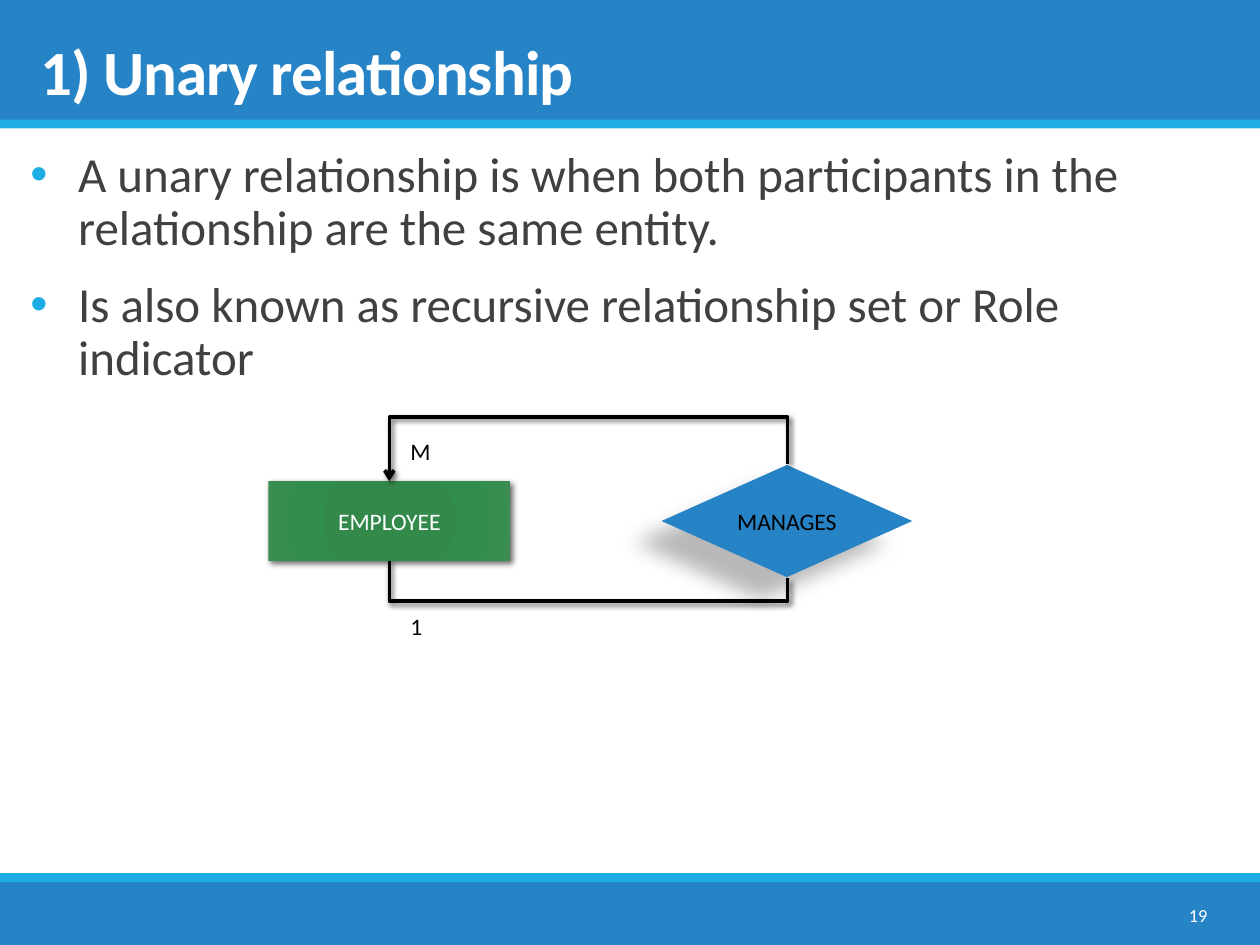
import lxml.etree
import pptx
import pptx.dml.color
import pptx.enum.shapes
import pptx.enum.text
import pptx.oxml
import pptx.oxml.ns
import pptx.util

Inches = pptx.util.Inches
Pt = pptx.util.Pt
qn = pptx.oxml.ns.qn
SHAPE = pptx.enum.shapes.MSO_SHAPE
ALIGN = pptx.enum.text.PP_ALIGN
ANCHOR = pptx.enum.text.MSO_ANCHOR
BLUE, CYAN, BLACK, WHITE = "2683C6", "1CADE4", "000000", "FFFFFF"


def write(box, text, size=13.5, color=BLACK, bold=False, align=ALIGN.LEFT,
          anchor=ANCHOR.TOP, wrap=True, leading=None, spacing=None, bullet=None):
    frame = box.text_frame
    frame.word_wrap = wrap
    frame.vertical_anchor = anchor
    for index, line in enumerate(text.split("\n")):
        para = frame.add_paragraph() if index else frame.paragraphs[0]
        para.alignment = align
        para.line_spacing = leading
        if bullet:
            para.space_before = Pt(12 if index else 0)
            para.space_after = Pt(2)
            props = para._p.get_or_add_pPr()
            props.set("marL", str(Inches(0.38)))
            props.set("indent", str(Inches(-0.38)))
            bullet_color = lxml.etree.SubElement(props, qn("a:buClr"))
            lxml.etree.SubElement(bullet_color, qn("a:srgbClr"), val=bullet)
            lxml.etree.SubElement(props, qn("a:buFont"), typeface="Arial")
            lxml.etree.SubElement(props, qn("a:buChar"), char="•")
        span = para.add_run()
        span.text = line
        span.font.name = "Calibri"
        span.font.size = Pt(size)
        span.font.bold = bold
        span.font.color.rgb = pptx.dml.color.RGBColor.from_string(color)
        if spacing:
            span._r.get_or_add_rPr().set("spc", str(int(spacing * 100)))


def add_shadow(item, alpha, blur, distance, angle):
    props = item._element.spPr
    effects = props.find(qn("a:effectLst"))
    if effects is None:
        effects = lxml.etree.SubElement(props, qn("a:effectLst"))
    shadow = lxml.etree.SubElement(
        effects, qn("a:outerShdw"), blurRad=str(Pt(blur)), dist=str(Pt(distance)),
        dir=str(angle * 60000), algn="ctr", rotWithShape="0")
    tint = lxml.etree.SubElement(shadow, qn("a:srgbClr"), val=BLACK)
    lxml.etree.SubElement(tint, qn("a:alpha"), val=str(alpha * 1000))


deck = pptx.Presentation()
deck.slide_width, deck.slide_height = Inches(10), Inches(7.5)
page = deck.slides.add_slide(deck.slide_layouts[6])

shapes = []
for kind, left, top, width, height, color in [
    (SHAPE.RECTANGLE, 0, 0, 10, 0.96, BLUE),
    (SHAPE.RECTANGLE, 0, 7, 10, 0.5, BLUE),
    (SHAPE.RECTANGLE, 0, 6.93, 10, 0.07, CYAN),
    (SHAPE.RECTANGLE, 0, 0.95, 10, 0.07, CYAN),
    (SHAPE.RECTANGLE, 2.13, 3.82, 1.92, 0.63, "2F8949"),
    (SHAPE.DIAMOND, 5.25, 3.69, 1.99, 0.89, BLUE),
]:
    shape = page.shapes.add_shape(kind, Inches(left), Inches(top), Inches(width), Inches(height))
    shape.shadow.inherit = False
    shape.fill.solid()
    shape.fill.fore_color.rgb = pptx.dml.color.RGBColor.from_string(color)
    shape.line.fill.background()
    shapes.append(shape)

entity, relationship = shapes[-2:]
stops = "".join(
    f'<a:gs pos="{position * 1000}"><a:srgbClr val="{color}"/></a:gs>'
    for position, color in [(0, "2F8949"), (34, "32894A"), (70, "318D4B"), (100, "3A8C51")])
gradient = pptx.oxml.parse_xml(
    f'<a:gradFill {pptx.oxml.ns.nsdecls("a")} rotWithShape="1"><a:gsLst>{stops}</a:gsLst>'
    '<a:path path="circle"><a:fillToRect l="100000" t="100000" r="100000" b="100000"/>'
    '</a:path></a:gradFill>')
entity_props = entity._element.spPr
entity_props.replace(entity_props.find(qn("a:solidFill")), gradient)
add_shadow(entity, 60, 3.5, 2, 45)
add_shadow(relationship, 28, 11.8, 19.7, 141)
write(entity, "EMPLOYEE", color=WHITE, align=ALIGN.CENTER, anchor=ANCHOR.MIDDLE)
write(relationship, "MANAGES", align=ALIGN.CENTER, anchor=ANCHOR.MIDDLE)

for start_y, end_y, turn, bend, arrow in [
    (5.33, 2.17, 90, 3.64, True),
    (2.94, 6.1, 270, 2.29, False),
]:
    link = page.shapes.add_connector(
        pptx.enum.shapes.MSO_CONNECTOR.ELBOW,
        Inches(4.74), Inches(start_y), Inches(4.6), Inches(end_y))
    link.line.width = Pt(2)
    link.line.color.rgb = pptx.dml.color.RGBColor.from_string(BLACK)
    props = link._element.spPr
    props.find(qn("a:xfrm")).set("rot", str(turn * 60000))
    guides = props.find(qn("a:prstGeom")).find(qn("a:avLst"))
    lxml.etree.SubElement(guides, qn("a:gd"), name="adj1", fmla=f"val {round(bend * 100000)}")
    if arrow:
        lxml.etree.SubElement(props.find(qn("a:ln")), qn("a:headEnd"), type="arrow")
    add_shadow(link, 60, 3, 2, 45)

statements = ("A unary relationship is when both participants in the relationship are the same entity.\n"
              "Is also known as recursive relationship set or Role indicator")
for text, left, top, width, height, style in [
    ("1) Unary relationship", 0.22, 0.08, 9.53, 0.83,
     dict(size=36, color=WHITE, bold=True, anchor=ANCHOR.BOTTOM, leading=0.85, spacing=-0.5)),
    (statements, 0.24, 1.14, 9.45, 5.66,
     dict(size=28, color="404040", leading=0.9, bullet=CYAN)),
    ("M", 3.16, 3.42, 0.36, 0.33, dict(wrap=False)),
    ("1", 3.16, 4.81, 0.3, 0.33, dict(wrap=False)),
    ("19", 8.6, 7.06, 1.08, 0.4,
     dict(size=10.5, color=WHITE, align=ALIGN.RIGHT, anchor=ANCHOR.MIDDLE)),
]:
    box = page.shapes.add_textbox(Inches(left), Inches(top), Inches(width), Inches(height))
    if text == statements:
        box.text_frame.margin_left = box.text_frame.margin_right = 0
    write(box, text, **style)

deck.save("out.pptx")
